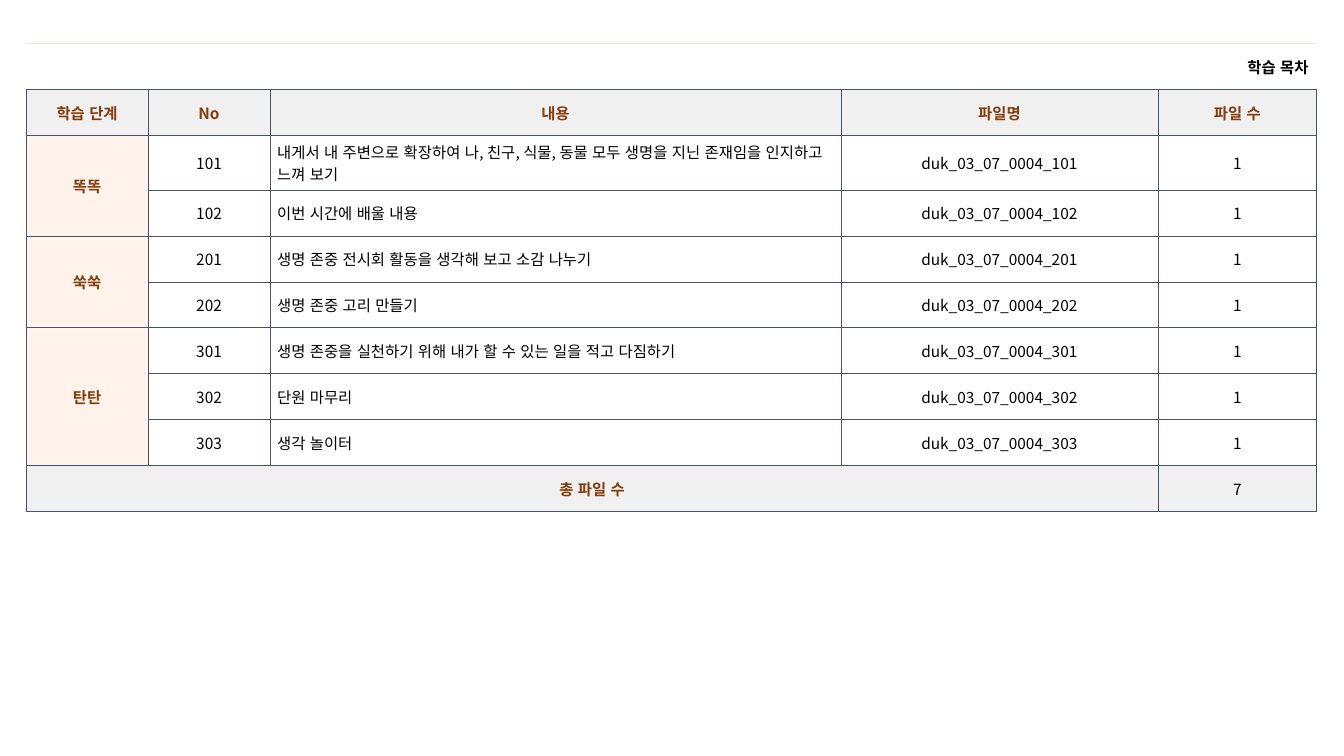
from lxml import etree
from pptx import Presentation
from pptx.dml.color import RGBColor
from pptx.enum.lang import MSO_LANGUAGE_ID
from pptx.enum.text import MSO_ANCHOR, PP_ALIGN
from pptx.oxml.ns import qn
from pptx.util import Pt

LEFT, CENTER, RIGHT = PP_ALIGN.LEFT, PP_ALIGN.CENTER, PP_ALIGN.RIGHT
MIDDLE = MSO_ANCHOR.MIDDLE
KOREAN = MSO_LANGUAGE_ID.KOREAN

FONT = "Noto Sans CJK KR"
BLACK = RGBColor(0x00, 0x00, 0x00)
WHITE = RGBColor(0xFF, 0xFF, 0xFF)
BROWN = RGBColor(0x84, 0x3C, 0x0B)
GRAY = RGBColor(0xF1, 0xF0, 0xF0)
PEACH = RGBColor(0xFF, 0xF3, 0xEB)
NAVY = RGBColor(0x44, 0x54, 0x6A)
PALE = RGBColor(0xFB, 0xE5, 0xD6)

COLUMN_WIDTHS = (87.1, 87.1, 407.8, 226.5, 113.4)
ROW_HEIGHT = 32.8
HEADINGS = ("학습 단계", "No", "내용", "파일명", "파일 수")
FILE_PREFIX = "duk_03_07_0004_"
STAGES = (
    ("똑똑", (
        ("101", "내게서 내 주변으로 확장하여 나, 친구, 식물, 동물 모두 "
                "생명을 지닌 존재임을 인지하고 느껴 보기"),
        ("102", "이번 시간에 배울 내용"),
    )),
    ("쑥쑥", (
        ("201", "생명 존중 전시회 활동을 생각해 보고 소감 나누기"),
        ("202", "생명 존중 고리 만들기"),
    )),
    ("탄탄", (
        ("301", "생명 존중을 실천하기 위해 내가 할 수 있는 일을 적고 다짐하기"),
        ("302", "단원 마무리"),
        ("303", "생각 놀이터"),
    )),
)


def set_border(cell, side, color, width):
    """Draw one side of a cell, or clear it when color is None."""
    line = etree.SubElement(cell._tc.get_or_add_tcPr(), qn("a:ln" + side),
                            w=str(Pt(width)))
    if color is None:
        etree.SubElement(line, qn("a:noFill"))
    else:
        fill = etree.SubElement(line, qn("a:solidFill"))
        etree.SubElement(fill, qn("a:srgbClr"), val=str(color))


def write_cell(cell, text, align=CENTER, color=BLACK, bold=False, inset=5.1):
    cell.vertical_anchor = MIDDLE
    cell.margin_left = cell.margin_right = Pt(inset)
    cell.margin_top = cell.margin_bottom = Pt(3.6)
    paragraph = cell.text_frame.paragraphs[0]
    paragraph.alignment = align
    run = paragraph.add_run()
    run.text = text
    font = run.font
    font.name, font.size, font.bold = FONT, Pt(11), bold
    font.color.rgb = color
    font.language_id = KOREAN
    etree.SubElement(font._element, qn("a:ea"), typeface=FONT)


def write_label(cell, text):
    write_cell(cell, text, color=BROWN, bold=True)


def add_contents_table(slide, row_count):
    frame = slide.shapes.add_table(
        row_count, len(COLUMN_WIDTHS), Pt(18.7), Pt(31),
        Pt(sum(COLUMN_WIDTHS)), Pt(ROW_HEIGHT * row_count))
    table = frame.table
    table.first_row = table.horz_banding = False
    for column, width in zip(table.columns, COLUMN_WIDTHS):
        column.width = Pt(width)
    for row in table.rows:
        row.height = Pt(ROW_HEIGHT)
    return table


def style_grid(table):
    last = len(table.rows) - 1
    for row_index, row in enumerate(table.rows):
        for column_index, cell in enumerate(row.cells):
            # The caption row is open at the sides, with a pale rule on top
            caption = row_index == 0
            for side in "LR":
                set_border(cell, side, None if caption else NAVY, 0.5)
            set_border(cell, "T", PALE if caption else NAVY,
                       0.25 if caption else 0.5)
            set_border(cell, "B", NAVY, 0.5)
            if caption:
                cell.fill.background()
                continue
            cell.fill.solid()
            if row_index in (1, last):
                cell.fill.fore_color.rgb = GRAY
            else:
                cell.fill.fore_color.rgb = WHITE if column_index else PEACH


def write_stage(table, top, stage, lessons):
    table.cell(top, 0).merge(table.cell(top + len(lessons) - 1, 0))
    write_label(table.cell(top, 0), stage)
    for row, (number, content) in enumerate(lessons, top):
        write_cell(table.cell(row, 1), number)
        write_cell(table.cell(row, 2), content, align=LEFT)
        write_cell(table.cell(row, 3), FILE_PREFIX + number)
        write_cell(table.cell(row, 4), "1")


def main():
    prs = Presentation()
    prs.slide_width, prs.slide_height = Pt(960), Pt(540)
    slide = prs.slides.add_slide(prs.slide_layouts[6])

    lesson_count = sum(len(lessons) for _, lessons in STAGES)
    total_row = lesson_count + 2
    table = add_contents_table(slide, total_row + 1)
    style_grid(table)

    # Caption and headings
    table.cell(0, 0).merge(table.cell(0, 4))
    write_cell(table.cell(0, 0), "학습 목차", align=RIGHT, bold=True, inset=5.8)
    for column, heading in enumerate(HEADINGS):
        write_label(table.cell(1, column), heading)

    # Learning stages
    top = 2
    for stage, lessons in STAGES:
        write_stage(table, top, stage, lessons)
        top += len(lessons)

    # Total
    table.cell(total_row, 0).merge(table.cell(total_row, 3))
    write_label(table.cell(total_row, 0), "총 파일 수")
    write_cell(table.cell(total_row, 4), str(lesson_count))

    prs.save("out.pptx")


if __name__ == "__main__":
    main()
